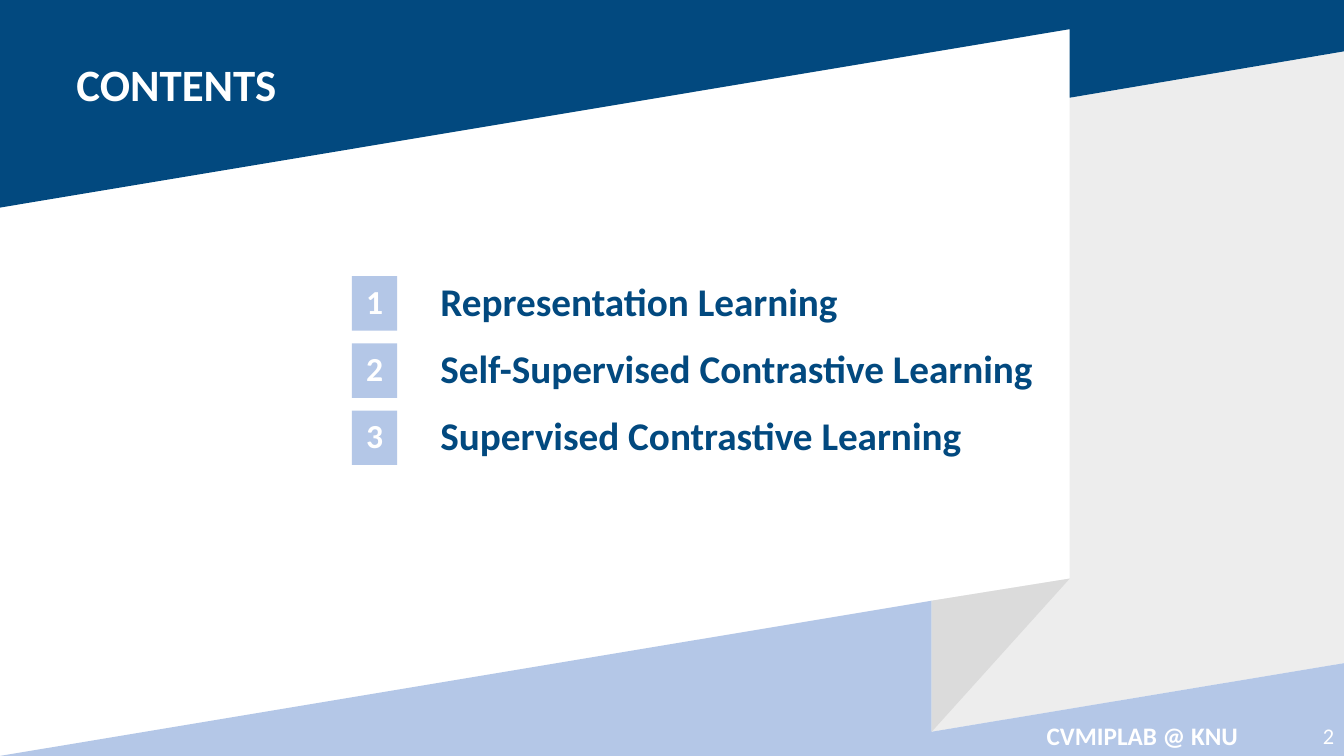
from dataclasses import dataclass

from pptx import Presentation
from pptx.dml.color import RGBColor
from pptx.enum.shapes import MSO_SHAPE
from pptx.enum.text import MSO_ANCHOR as ANCHOR, PP_ALIGN as ALIGN
from pptx.util import Inches, Pt

TITLE = "CONTENTS"
TOPICS = [
    "Representation Learning",
    "Self-Supervised Contrastive Learning",
    "Supervised Contrastive Learning",
]
LAB = "CVMIPLAB @ KNU"
PAGE = "2"


@dataclass(frozen=True)
class Theme:
    font: str = "Calibri"
    navy: str = "02497F"
    pale_blue: str = "B4C7E7"
    panel: str = "EDEDED"
    fold: str = "DBDBDB"
    white: str = "FFFFFF"
    title: int = 32
    topic: int = 28
    badge: int = 24
    lab: int = 18
    page: int = 16


T = Theme()
W, H = 13.33, 7.5

# Edges of the folded ribbon
FOLD_X, FLAP_X = 9.24, 10.61
FOLD_TOP, FOLD_BOTTOM = 5.96, 7.26
FLAP_BOTTOM = 5.74
PANEL_TOP, PANEL_BOTTOM = 0.51, 6.58
FLAP_MEET = 0.97

BACKDROP = [
    (T.panel, [(W, PANEL_TOP), (W, PANEL_BOTTOM), (FOLD_X, FOLD_BOTTOM),
               (FOLD_X, FOLD_TOP), (FLAP_X, FLAP_BOTTOM), (FLAP_X, FLAP_MEET)]),
    (T.navy, [(0, 0), (W, 0), (W, PANEL_TOP), (FLAP_X, FLAP_MEET),
              (FLAP_X, 0.29), (0, 2.06)]),
    (T.pale_blue, [(FOLD_X, FOLD_TOP), (FOLD_X, FOLD_BOTTOM),
                   (W, PANEL_BOTTOM), (W, H), (0, H)]),
    (T.fold, [(FLAP_X, FLAP_BOTTOM), (FOLD_X, FOLD_BOTTOM), (FOLD_X, FOLD_TOP)]),
]

# Grid of the topic list
LIST_TOP, ROW_PITCH, ROW_H = 2.74, 2 / 3, 0.54
BADGE_X, BADGE_W = 3.49, 0.45
TOPIC_X, TOPIC_W = 4.27, 7.4
FOOTER_H, LAB_W, PAGE_W = 0.4, 2.8, 0.6


def rgb(value):
    return RGBColor.from_string(value)


def paint(shape, color):
    shape.fill.solid()
    shape.fill.fore_color.rgb = rgb(color)
    shape.line.fill.background()
    shape.shadow.inherit = False


def add_polygon(s, color, points):
    """Draw a closed outline; the builder takes whole hundredths of an inch."""
    start, *rest = [(round(x * 100), round(y * 100)) for x, y in points]
    builder = s.shapes.build_freeform(*start, scale=Inches(0.01))
    builder.add_line_segments(rest, close=True)
    paint(builder.convert_to_shape(), color)


def write(shape, text, size, color, bold=True, align=ALIGN.LEFT,
          anchor=ANCHOR.MIDDLE, spacing=None, wrap=True):
    tf = shape.text_frame
    tf.word_wrap = wrap
    tf.vertical_anchor = anchor
    p = tf.paragraphs[0]
    p.alignment = align
    p.line_spacing = spacing
    r = p.add_run()
    r.text = text
    r.font.name = T.font
    r.font.size = Pt(size)
    r.font.bold = bold
    r.font.color.rgb = rgb(color)


def add_text(s, box, *args, **kwargs):
    write(s.shapes.add_textbox(*map(Inches, box)), *args, **kwargs)


def add_topic(s, row, topic):
    y = LIST_TOP + row * ROW_PITCH
    badge = s.shapes.add_shape(
        MSO_SHAPE.RECTANGLE, *map(Inches, (BADGE_X, y, BADGE_W, ROW_H)))
    paint(badge, T.pale_blue)
    write(badge, str(row + 1), T.badge, T.white, align=ALIGN.CENTER, spacing=0.9)
    add_text(s, (TOPIC_X, y, TOPIC_W, ROW_H), topic, T.topic, T.navy, spacing=0.9)


def main():
    prs = Presentation()
    prs.slide_width, prs.slide_height = Inches(W), Inches(H)
    s = prs.slides.add_slide(prs.slide_layouts[6])

    for color, points in BACKDROP:
        add_polygon(s, color, points)

    add_text(s, (0.66, 0.51, 2.21, 0.64), TITLE, T.title, T.white,
             anchor=ANCHOR.TOP, wrap=False)
    for row, topic in enumerate(TOPICS):
        add_topic(s, row, topic)

    footer_y, page_x = H - FOOTER_H, W - PAGE_W
    add_text(s, (page_x - LAB_W, footer_y, LAB_W, FOOTER_H), LAB, T.lab, T.white,
             align=ALIGN.CENTER)
    add_text(s, (page_x, footer_y, PAGE_W, FOOTER_H), PAGE, T.page, T.white,
             bold=False, align=ALIGN.RIGHT)

    prs.save("out.pptx")


if __name__ == "__main__":
    main()
